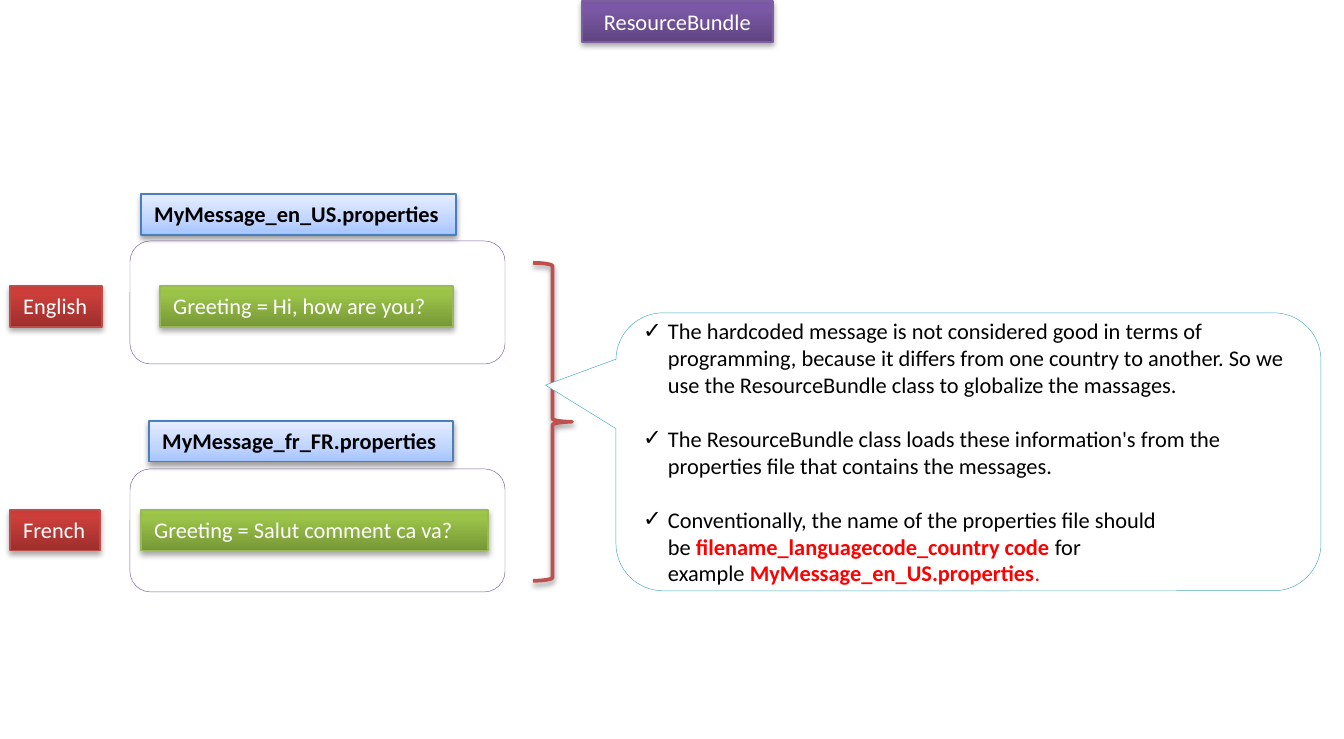
import copy

import pptx
import pptx.dml.color
import pptx.enum.shapes
import pptx.enum.text
import pptx.oxml
import pptx.oxml.ns
import pptx.util

RGBColor = pptx.dml.color.RGBColor
MSO_SHAPE = pptx.enum.shapes.MSO_SHAPE
MSO_AUTO_SIZE = pptx.enum.text.MSO_AUTO_SIZE
PP_ALIGN = pptx.enum.text.PP_ALIGN
Pt = pptx.util.Pt

PX = 9144000 / 1344  # EMU per px on a 1344 px wide slide
NBSP = chr(160)  # no-break space, keeps words on one line
WHITE = RGBColor(0xFF, 0xFF, 0xFF)
BLACK = RGBColor(0x00, 0x00, 0x00)
RED = RGBColor(0xFF, 0x00, 0x00)
FRAME_PURPLE = RGBColor(0x80, 0x64, 0xA2)
BRACE_RED = RGBColor(0xC0, 0x50, 0x4D)
CALLOUT_TEAL = RGBColor(0x4B, 0xAC, 0xC6)

# Gradient stops from bottom to top, line colour
GREEN = ([(0, RGBColor(0x77, 0x97, 0x37)), (0.8, RGBColor(0x9B, 0xC3, 0x48)),
          (1, RGBColor(0x9D, 0xC7, 0x46))], RGBColor(0x98, 0xB9, 0x55))
CRIMSON = ([(0, RGBColor(0x9C, 0x2F, 0x2D)), (0.8, RGBColor(0xCB, 0x3E, 0x3A)),
            (1, RGBColor(0xCE, 0x3B, 0x37))], RGBColor(0xBF, 0x4C, 0x48))
BLUE = ([(0, RGBColor(0xA4, 0xC4, 0xFF)), (0.35, RGBColor(0xBF, 0xD4, 0xFF)),
         (1, RGBColor(0xE6, 0xEE, 0xFF))], RGBColor(0x4B, 0x7E, 0xBC))
PURPLE = ([(0, RGBColor(0x5F, 0x44, 0x80)), (0.8, RGBColor(0x7B, 0x58, 0xA6)),
           (1, RGBColor(0x7C, 0x57, 0xA8))], RGBColor(0x7D, 0x60, 0xA0))


def add_shadow(shape, opacity, distance):
    shape.shadow.inherit = False
    effects = shape._element.spPr.find(pptx.oxml.ns.qn("a:effectLst"))
    effects.append(pptx.oxml.parse_xml(
        f'<a:outerShdw {pptx.oxml.ns.nsdecls("a")} blurRad="{Pt(3.1)}" dist="{Pt(distance)}"'
        f' dir="5400000" rotWithShape="0"><a:srgbClr val="000000">'
        f'<a:alpha val="{opacity * 1000}"/></a:srgbClr></a:outerShdw>'))


def style_label(shape, text, palette):
    """Give a label its gradient, line, shadow and text."""
    stops, line_color = palette
    shape.fill.gradient()
    shape.fill.gradient_angle = 90
    stop_list = shape._element.spPr.find(".//" + pptx.oxml.ns.qn("a:gsLst"))
    stop_list.append(copy.deepcopy(stop_list[0]))
    for stop, (position, color) in zip(shape.fill.gradient_stops, stops):
        stop.position = position
        stop.color.rgb = color
    shape.line.color.rgb = line_color
    shape.line.width = Pt(0.75)
    on_blue = palette is BLUE
    add_shadow(shape, 38 if on_blue else 35, 1.6 if on_blue else 1.8)
    frame = shape.text_frame
    frame.text = text
    frame.word_wrap = False
    frame.auto_size = MSO_AUTO_SIZE.SHAPE_TO_FIT_TEXT
    frame.vertical_anchor = pptx.enum.text.MSO_ANCHOR.TOP
    paragraph = frame.paragraphs[0]
    paragraph.alignment = PP_ALIGN.LEFT
    paragraph.font.name = "Calibri"
    paragraph.font.size = Pt(12)
    paragraph.font.bold = on_blue
    paragraph.font.color.rgb = BLACK if on_blue else WHITE


presentation = pptx.Presentation()
presentation.slide_width = pptx.util.Inches(10)
presentation.slide_height = pptx.util.Inches(5.5)
slide = presentation.slides.add_slide(presentation.slide_layouts[5])
shapes = slide.shapes

title = shapes.title
title.left, title.top, title.width, title.height = [
    round(value * PX) for value in (582, 1, 191, 41)]
style_label(title, "ResourceBundle", PURPLE)
title.text_frame.word_wrap = True
title.text_frame.auto_size = MSO_AUTO_SIZE.NONE
title.text_frame.paragraphs[0].alignment = PP_ALIGN.CENTER

# Rounded frames, the brace and the callout
outlines = {}
for name, kind, box, color, width in [
    ("english", MSO_SHAPE.ROUNDED_RECTANGLE, (130, 241, 375, 123), FRAME_PURPLE, 0.25),
    ("french", MSO_SHAPE.ROUNDED_RECTANGLE, (130, 469, 375, 123), FRAME_PURPLE, 0.25),
    ("brace", MSO_SHAPE.RIGHT_BRACE, (533, 263, 39, 318), BRACE_RED, 2),
    ("callout", MSO_SHAPE.ROUNDED_RECTANGULAR_CALLOUT, (616, 313, 705, 278), CALLOUT_TEAL, 0.25),
]:
    shape = shapes.add_shape(kind, *[round(value * PX) for value in box])
    if name == "brace":
        shape.fill.background()
        add_shadow(shape, 38, 1.6)
    else:
        shape.fill.solid()
        shape.fill.fore_color.rgb = WHITE
        shape.shadow.inherit = False
    shape.line.color.rgb = color
    shape.line.width = Pt(width)
    outlines[name] = shape

# Labels: text, palette, left, top, width
for text, palette, left, top, width in [
    ("MyMessage_en_US.properties", BLUE, 141, 194, 315),
    ("Greeting = Hi, how are you?", GREEN, 160, 286, 293),
    ("English", CRIMSON, 10, 286, 92),
    ("MyMessage_fr_FR.properties", BLUE, 149, 421, 304),
    ("Greeting = Salut comment ca va?", GREEN, 141, 510, 347),
    ("French", CRIMSON, 10, 510, 90),
]:
    label = shapes.add_shape(
        MSO_SHAPE.RECTANGLE, *[round(value * PX) for value in (left, top, width, 41)])
    style_label(label, text, palette)

# Callout points: runs of text, colour, bold
points = [
    [("The hardcoded message is not considered good in terms of programming, because it "
      "differs from one country to another. So we use the ResourceBundle class to globalize "
      "the massages.", BLACK, False)],
    [("The ResourceBundle class loads these information's from the properties file that "
      "contains the messages.", BLACK, False)],
    [(f"Conventionally, the name of the properties file should be{NBSP}", BLACK, False),
     (f"filename_languagecode_country{NBSP}code ", RED, True),
     (f"for example{NBSP}", BLACK, False),
     ("MyMessage_en_US.properties", RED, True),
     (".", RED, False)],
]
callout = outlines["callout"]
for index, value in enumerate((-0.6, -0.24, 0.17)):
    callout.adjustments[index] = value
frame = callout.text_frame
frame.word_wrap = True
frame.vertical_anchor = pptx.enum.text.MSO_ANCHOR.MIDDLE
indent = round(25 * PX)
for index, runs in enumerate(points):
    paragraph = frame.paragraphs[0] if index == 0 else frame.add_paragraph()
    paragraph.alignment = PP_ALIGN.LEFT
    if index:
        paragraph.space_before = Pt(14.5)
    properties = paragraph._p.get_or_add_pPr()
    properties.set("marL", str(indent))
    properties.set("indent", str(-indent))
    for bullet in ('buFont {} typeface="Calibri"', 'buChar {} char="✓"'):
        properties.append(pptx.oxml.parse_xml(
            f"<a:{bullet.format(pptx.oxml.ns.nsdecls('a'))}/>"))
    paragraph.font.name = "Calibri"
    paragraph.font.size = Pt(12)
    for text, color, bold in runs:
        run = paragraph.add_run()
        run.text = text
        run.font.color.rgb = color
        run.font.bold = bold

presentation.save("out.pptx")
